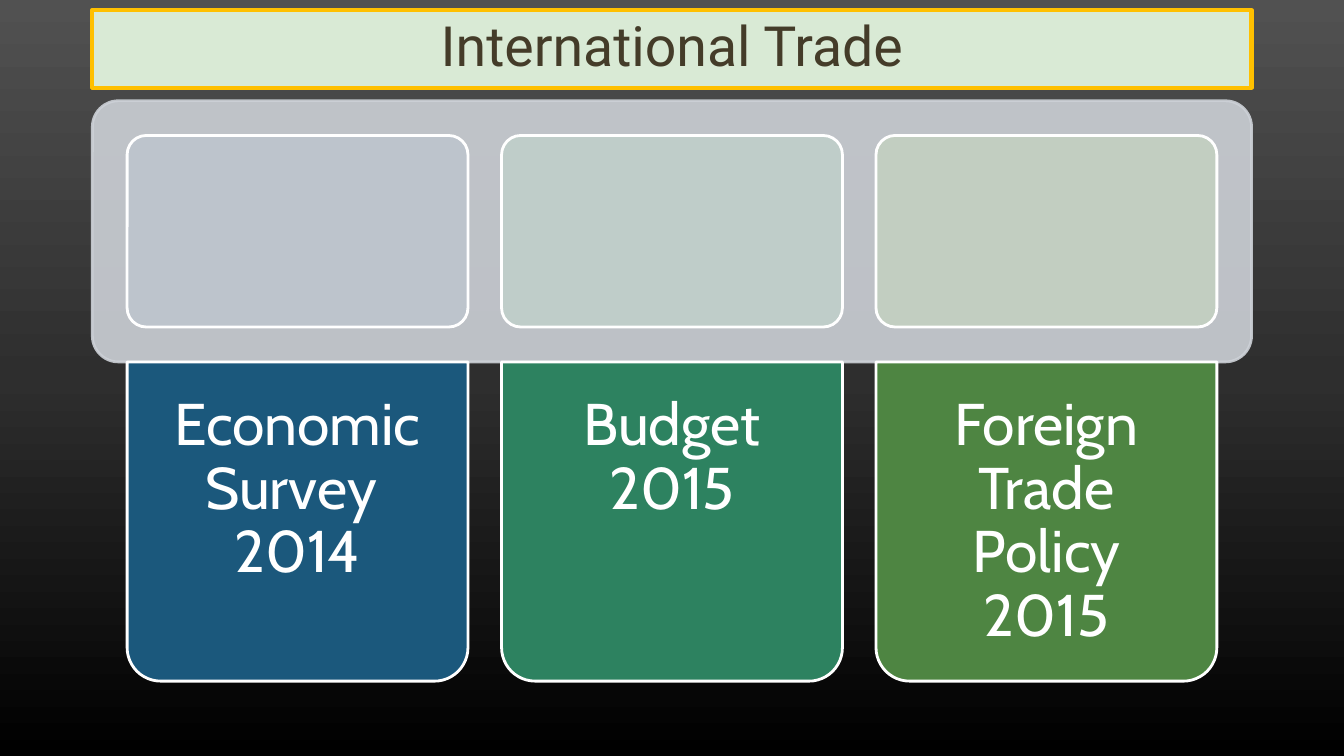
from copy import deepcopy
from dataclasses import dataclass

from lxml import etree
from pptx import Presentation
from pptx.dml.color import RGBColor
from pptx.enum import shapes, text
from pptx.oxml import ns
from pptx.util import Pt

SHAPE = shapes.MSO_SHAPE


@dataclass(frozen=True)
class Theme:
    """Colours, fonts and type sizes of the slide."""
    backdrop: tuple = ((0, "515151"), (0.5, "2E2E2E"), (1, "000000"))
    title_fill: str = "D9EAD5"
    title_line: str = "FFC000"
    title_text: str = "443C29"
    panel: str = "CDD1D7"
    white: str = "FFFFFF"
    title_font: str = "Roboto"
    body_font: str = "Cabin"
    title_size: float = 39.6
    body_size: float = 42


THEME = Theme()
TOPICS = (
    (("Economic Survey ", "2014"), "BDC4CC", "1B587C"),
    (("Budget", "2015"), "BFCDC9", "2D8260"),
    (("Foreign Trade Policy 2015",), "C2CEC1", "4E8542"),
)


def add_box(s, kind, box, fill, line, width=2, adjust=()):
    """Add a filled, outlined shape without a shadow."""
    sp = s.shapes.add_shape(kind, *map(Pt, box))
    sp.shadow.inherit = False
    sp.fill.solid()
    sp.fill.fore_color.rgb = RGBColor.from_string(fill)
    sp.line.color.rgb = RGBColor.from_string(line)
    sp.line.width = Pt(width)
    for i, value in enumerate(adjust):
        sp.adjustments[i] = value
    return sp


def set_opacity(sp, percent):
    """Make the fill and outline of a shape partly transparent."""
    for color in sp.element.spPr.iter(ns.qn("a:srgbClr")):
        etree.SubElement(color, ns.qn("a:alpha"), val=str(percent * 1000))


def write_text(tf, lines, font, size, color):
    """Write centred lines as one paragraph."""
    tf.word_wrap = True
    p = tf.paragraphs[0]
    p.alignment = text.PP_ALIGN.CENTER
    p.line_spacing = 0.9
    for i, line in enumerate(lines):
        if i:
            p.add_line_break()
        r = p.add_run()
        r.text = line
        r.font.name = font
        r.font.size = Pt(size)
        r.font.color.rgb = RGBColor.from_string(color)


def add_backdrop(s):
    """Fill the background with a vertical gradient."""
    fill = s.background.fill
    fill.gradient()
    fill.gradient_angle = 270
    stops = next(s.element.iter(ns.qn("a:gsLst")))
    stops.insert(1, deepcopy(stops[0]))
    for stop, (position, color) in zip(fill.gradient_stops, THEME.backdrop):
        stop.position = position
        stop.color.rgb = RGBColor.from_string(color)


def add_title(s, box):
    """Add the title banner."""
    sp = add_box(s, SHAPE.RECTANGLE, box, THEME.title_fill, THEME.title_line, 3)
    tf = sp.text_frame
    tf.vertical_anchor = text.MSO_ANCHOR.MIDDLE
    write_text(tf, ["International Trade"], THEME.title_font,
               THEME.title_size, THEME.title_text)


def add_topic(s, box, head, lines, tint, color):
    """Add a tinted card and the coloured label hanging below the panel."""
    x, y, w, h = box
    top = y + head
    add_box(s, SHAPE.ROUNDED_RECTANGLE, (x, y, w, 136.8), tint, THEME.white,
            adjust=[0.1])
    label = add_box(s, SHAPE.ROUND_2_SAME_RECTANGLE, (x, top, w, h - head),
                    color, THEME.white, adjust=[0.105, 0])
    label.rotation = 180
    inset = 7
    tb = s.shapes.add_textbox(Pt(x + inset), Pt(top), Pt(w - 2 * inset),
                              Pt(h - head - inset))
    tf = tb.text_frame
    tf.margin_left = tf.margin_right = tf.margin_top = tf.margin_bottom = Pt(23.5)
    write_text(tf, lines, THEME.body_font, THEME.body_size, THEME.white)


def add_topics(s, box):
    """Add the panel with its evenly spaced topics."""
    x, y, w, h = box
    panel_h, margin, gap = 186.5, 24.8, 24
    panel = add_box(s, SHAPE.ROUNDED_RECTANGLE, (x, y, w, panel_h),
                    THEME.panel, THEME.panel, adjust=[0.1])
    set_opacity(panel, 90)
    topic_w = (w - 2 * margin - gap * (len(TOPICS) - 1)) / len(TOPICS)
    for i, topic in enumerate(TOPICS):
        left = x + margin + i * (topic_w + gap)
        add_topic(s, (left, y + margin, topic_w, h - margin),
                  panel_h - margin, *topic)


def main():
    """Build and save the slide."""
    prs = Presentation()
    prs.slide_width, prs.slide_height = Pt(960), Pt(540)
    s = prs.slides.add_slide(prs.slide_layouts[6])
    add_backdrop(s)
    add_title(s, (66, 7.2, 828, 55.5))
    add_topics(s, (66, 72, 828, 414.5))
    prs.save("out.pptx")


if __name__ == "__main__":
    main()
